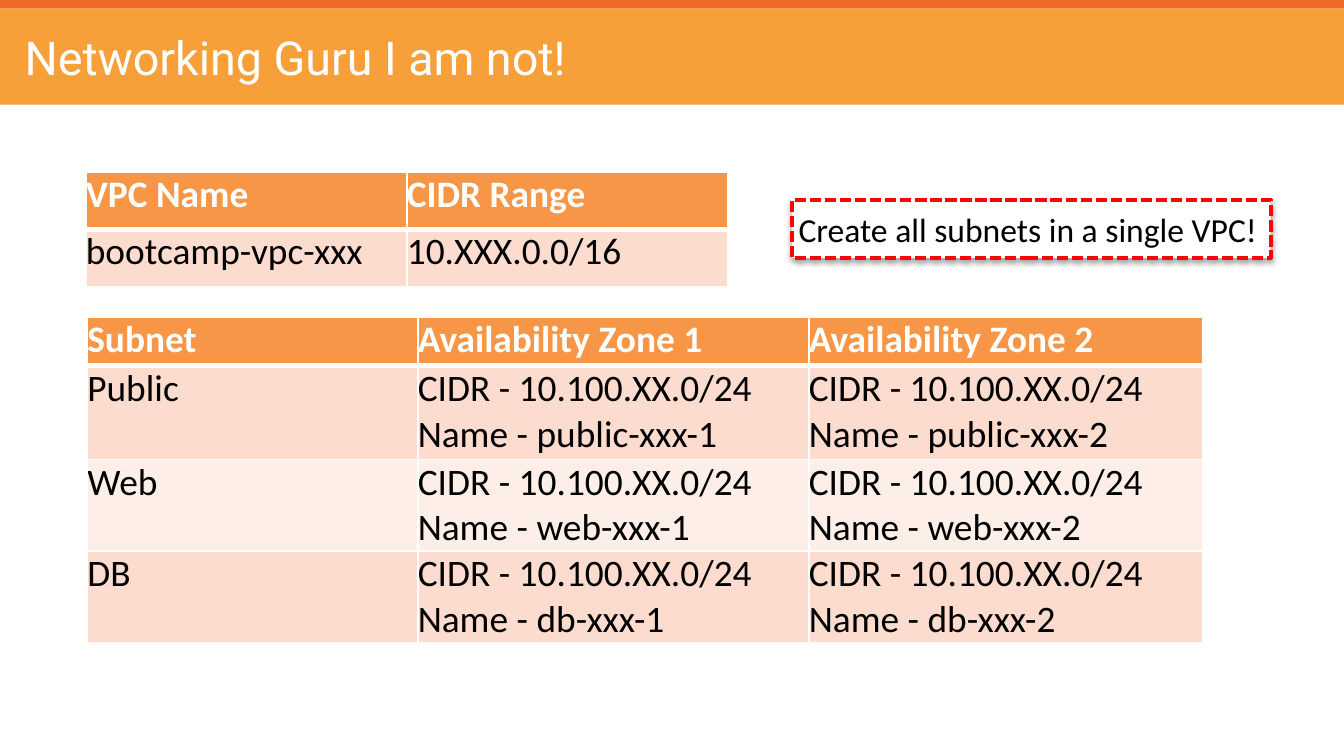
from dataclasses import dataclass

import lxml.etree
import pptx
import pptx.dml.color
import pptx.enum.dml
import pptx.enum.shapes
import pptx.enum.text
import pptx.oxml
import pptx.oxml.ns
import pptx.util

Pt = pptx.util.Pt
qn = pptx.oxml.ns.qn
LEFT = pptx.enum.text.PP_ALIGN.LEFT
MIDDLE = pptx.enum.text.MSO_ANCHOR.MIDDLE


@dataclass(frozen=True)
class Theme:
    white: str = "FFFFFF"
    black: str = "000000"
    banner: str = "F79F38"
    stripe: str = "ED6925"
    header: str = "F79646"
    bands: tuple = ("FCDCCE", "FDEEE8")
    alert: str = "FF0205"
    title_font: str = "Roboto"
    body_font: str = "Calibri"
    title_size: float = 25
    table_size: float = 20
    note_size: float = 18
    rule: float = 1
    header_rule: float = 3
    inset: float = 3.6


@dataclass(frozen=True)
class Area:
    left: float
    top: float
    width: float
    height: float

    def lengths(self) -> list:
        return [Pt(value) for value in (self.left, self.top, self.width, self.height)]


@dataclass(frozen=True)
class Grid:
    left: float
    top: float
    columns: tuple
    heights: tuple
    rows: tuple


THEME = Theme()
BANDS = (
    (Area(0, 4.5, 720, 51.5), THEME.banner),
    (Area(0, 0, 720, 4.5), THEME.stripe),
)
ZONES = (1, 2)
TIERS = ("Public", "Web", "DB")
SUBNETS = Grid(
    46.8, 170, (177, 209.5, 211), (26, 50.2, 49.2, 49.2),
    (("Subnet", *(f"Availability Zone {zone}" for zone in ZONES)),
     *((tier, *(f"CIDR - 10.100.XX.0/24\vName - {tier.lower()}-xxx-{zone}" for zone in ZONES))
       for tier in TIERS)),
)
NETWORK = Grid(
    46, 92.2, (172, 172), (30.6, 30.6),
    (("VPC Name", "CIDR Range"), ("bootcamp-vpc-xxx", "10.XXX.0.0/16")),
)


def rgb(color: str) -> pptx.dml.color.RGBColor:
    return pptx.dml.color.RGBColor.from_string(color)


def apply(target, values: dict) -> None:
    for name, value in values.items():
        setattr(target, name, value)


def margins(size: float) -> dict:
    return {f"margin_{side}": Pt(size) for side in ("left", "top", "right", "bottom")}


def write(frame, text: str, font: str, size: float, color: str, bold: bool = False) -> None:
    para = frame.paragraphs[0]
    para.text = text
    para.alignment = LEFT
    for span in para.runs:
        apply(span.font, {"name": font, "size": Pt(size), "bold": bold})
        span.font.color.rgb = rgb(color)


def add_box(page, area: Area, fill: str):
    box = page.shapes.add_shape(pptx.enum.shapes.MSO_SHAPE.RECTANGLE, *area.lengths())
    box.shadow.inherit = False
    box.fill.solid()
    box.fill.fore_color.rgb = rgb(fill)
    box.line.fill.background()
    return box


def add_borders(cell, top: float, bottom: float) -> None:
    properties = cell._tc.get_or_add_tcPr()
    widths = {"lnL": THEME.rule, "lnR": THEME.rule, "lnT": top, "lnB": bottom}
    for tag, width in widths.items():
        line = lxml.etree.SubElement(properties, qn(f"a:{tag}"), w=str(Pt(width)))
        fill = lxml.etree.SubElement(line, qn("a:solidFill"))
        lxml.etree.SubElement(fill, qn("a:srgbClr"), val=THEME.white)


def add_grid(page, grid: Grid) -> None:
    area = Area(grid.left, grid.top, sum(grid.columns), sum(grid.heights))
    table = page.shapes.add_table(len(grid.rows), len(grid.columns), *area.lengths()).table
    for column, width in zip(table.columns, grid.columns):
        column.width = Pt(width)
    for index, (row, height, texts) in enumerate(zip(table.rows, grid.heights, grid.rows)):
        row.height = Pt(height)
        heading = index == 0
        fill = THEME.header if heading else THEME.bands[(index - 1) % 2]
        for cell, text in zip(row.cells, texts):
            apply(cell, margins(0))
            add_borders(cell,
                        THEME.header_rule if index == 1 else THEME.rule,
                        THEME.header_rule if heading else THEME.rule)
            cell.fill.solid()
            cell.fill.fore_color.rgb = rgb(fill)
            write(cell.text_frame, text, THEME.body_font, THEME.table_size,
                  THEME.white if heading else THEME.black, heading)


def add_note(page, area: Area, text: str) -> None:
    box = add_box(page, area, THEME.white)
    box.line.color.rgb = rgb(THEME.alert)
    apply(box.line, {"width": Pt(2), "dash_style": pptx.enum.dml.MSO_LINE.SQUARE_DOT})
    apply(box.text_frame, {"word_wrap": False, "vertical_anchor": MIDDLE,
                           "auto_size": pptx.enum.text.MSO_AUTO_SIZE.SHAPE_TO_FIT_TEXT,
                           **margins(THEME.inset)})
    write(box.text_frame, text, THEME.body_font, THEME.note_size, THEME.black)
    # Soft shadow straight below the box
    effects = box._element.spPr.find(qn("a:effectLst"))
    shadow = lxml.etree.SubElement(
        effects, qn("a:outerShdw"), blurRad=str(Pt(3)), dist=str(Pt(1.8)),
        dir="5400000", rotWithShape="0")
    color = lxml.etree.SubElement(shadow, qn("a:srgbClr"), val=THEME.black)
    lxml.etree.SubElement(color, qn("a:alpha"), val="35000")


def main() -> None:
    deck = pptx.Presentation()
    apply(deck, {"slide_width": Pt(720), "slide_height": Pt(405)})
    page = deck.slides.add_slide(deck.slide_layouts[5])

    # Banner, with the title raised above it
    for area, color in BANDS:
        add_box(page, area, color)
    title = page.shapes.title
    page.shapes._spTree.append(title._element)
    apply(title, dict(zip(("left", "top", "width", "height"),
                          Area(9.6, 10.4, 702.7, 40.3).lengths())))
    apply(title.text_frame, {"word_wrap": True, "vertical_anchor": MIDDLE,
                             "auto_size": pptx.enum.text.MSO_AUTO_SIZE.NONE,
                             **margins(THEME.inset)})
    write(title.text_frame, "Networking Guru I am not!",
          THEME.title_font, THEME.title_size, THEME.white)

    # Address tables
    for grid in (SUBNETS, NETWORK):
        add_grid(page, grid)

    # Reminder
    add_note(page, Area(424.2, 107.2, 256.6, 31), "Create all subnets in a single VPC!")

    deck.save("out.pptx")


if __name__ == "__main__":
    main()
